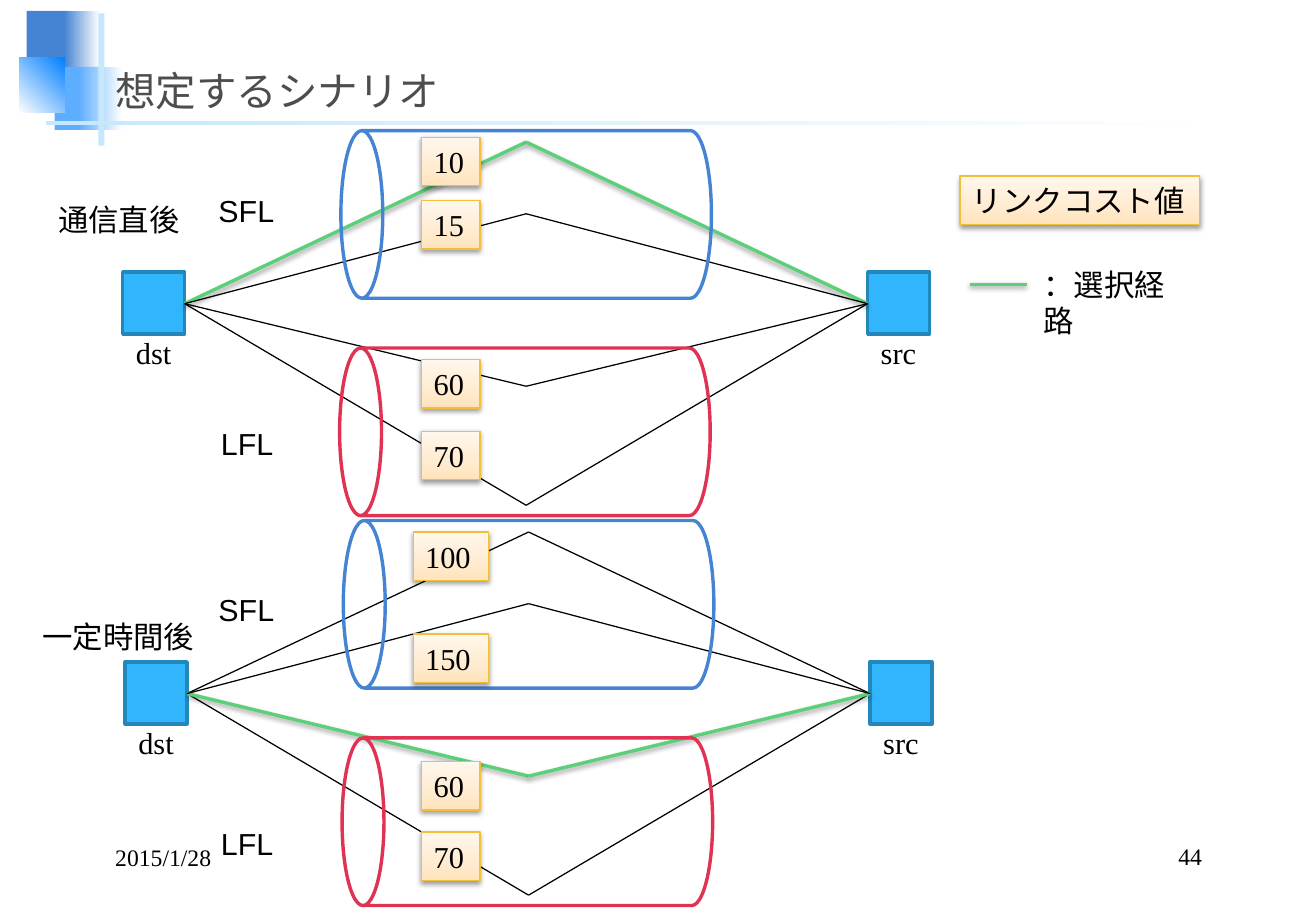
from pptx import Presentation
from pptx.dml.color import RGBColor
from pptx.enum.shapes import MSO_CONNECTOR as CONNECTOR, MSO_SHAPE as SHAPE
from pptx.enum.text import MSO_ANCHOR as ANCHOR, PP_ALIGN as ALIGN
from pptx.oxml import parse_xml
from pptx.oxml.ns import nsdecls
from pptx.util import Emu, Pt

PX = 9144
SERIF, SANS = "Times New Roman", "Arial"
COLORS = {
    "black": "000000", "white": "FFFFFF", "title": "4D4D4D",
    "blue": "4584D3", "sky": "5EAEFF", "azure": "0080FF", "pale": "C6E7FC",
    "node": "31B6FD", "node_edge": "2487BB", "red": "E03253",
    "selected": "5BD078", "cost_edge": "F4BE3A",
    "cost_low": "FFE3BB", "cost_mid": "FFEBCF", "cost_high": "FFF7ED",
}
COST_STOPS = [(0, "cost_low"), (35, "cost_mid"), (100, "cost_high")]
APEX_TOPS = [117, 416, 318, 176]


def px(*lengths):
    """Turn whole px lengths into EMU."""
    return [Emu(length * PX) for length in lengths]


def rgb(color):
    """Look up a named colour."""
    return RGBColor.from_string(COLORS[color])


def set_gradient(shape, stops, angle):
    """Fill a shape with a linear gradient."""
    marks = "".join(
        f'<a:gs pos="{pos * 1000}"><a:srgbClr val="{COLORS[color]}"/></a:gs>'
        for pos, color in stops)
    shape._element.spPr.append(parse_xml(
        f'<a:gradFill {nsdecls("a")} rotWithShape="1"><a:gsLst>{marks}</a:gsLst>'
        f'<a:lin ang="{angle * 60000}" scaled="0"/></a:gradFill>'))


def set_effect(element, shadow):
    """Give an element a soft drop shadow or none at all."""
    drop = (
        '<a:outerShdw blurRad="39370" dist="20320" dir="5400000" rotWithShape="0">'
        f'<a:srgbClr val="{COLORS["black"]}"><a:alpha val="38000"/></a:srgbClr>'
        '</a:outerShdw>') if shadow else ""
    element.spPr.append(parse_xml(
        f'<a:effectLst {nsdecls("a")}>{drop}</a:effectLst>'))


def write_text(owner, text, size=18, font=SERIF, color="black",
               align=ALIGN.LEFT, anchor=ANCHOR.TOP, wrap=False):
    """Write formatted text into a shape or text box."""
    frame = owner.text_frame
    frame.word_wrap = wrap
    frame.vertical_anchor = anchor
    paragraph = frame.paragraphs[0]
    paragraph.alignment = align
    run = paragraph.add_run()
    run.text = text
    run.font.size = Pt(size)
    run.font.name = font
    run.font.color.rgb = rgb(color)


def add_label(slide, box, text, **style):
    """Add a text box."""
    write_text(slide.shapes.add_textbox(*px(*box)), text, **style)


def add_block(slide, box, fill=None, stops=None, angle=0, edge=None,
              weight=2, kind=SHAPE.RECTANGLE, rotation=0, shadow=False):
    """Add a preset shape with a plain, gradient or empty fill."""
    block = slide.shapes.add_shape(kind, *px(*box))
    block.rotation = rotation
    if stops:
        set_gradient(block, stops, angle)
    elif fill:
        block.fill.solid()
        block.fill.fore_color.rgb = rgb(fill)
    else:
        block.fill.background()
    if edge:
        block.line.color.rgb = rgb(edge)
        block.line.width = Pt(weight)
    else:
        block.line.fill.background()
    set_effect(block._element, shadow)
    return block


def add_link(slide, start, end, selected=False):
    """Add a link line, highlighted when it is on the selected route."""
    link = slide.shapes.add_connector(CONNECTOR.STRAIGHT, *px(*start, *end))
    link.line.color.rgb = rgb("selected" if selected else "black")
    link.line.width = Pt(2 if selected else 0.75)
    set_effect(link._element, selected)


def add_cost(slide, box, text, wrap=False):
    """Add a link cost box."""
    cost = add_block(slide, box, stops=COST_STOPS, angle=270,
                     edge="cost_edge", weight=0.75, shadow=True)
    write_text(cost, text, wrap=wrap)


def add_decoration(slide):
    """Add the squares and rules behind the title."""
    add_block(slide, (22, 9, 35, 52), fill="blue")
    add_block(slide, (53, 9, 29, 52), stops=[(0, "blue"), (100, "white")])
    add_block(slide, (45, 55, 41, 52), fill="sky")
    add_block(slide, (65, 55, 36, 52), stops=[(0, "sky"), (100, "white")])
    add_block(slide, (16, 47, 37, 46),
              stops=[(0, "white"), (100, "azure")], angle=315)
    add_block(slide, (81, 11, 5, 109), fill="pale")
    add_block(slide, (38, 100, 975, 3), stops=[(0, "pale"), (100, "white")])


def add_scenario(slide, dx, dy, selected_route, costs):
    """Add two nodes, the four routes between them and the link costs."""
    for name, left in (("dst", 101), ("src", 714)):
        add_block(slide, (left + dx, 224 + dy, 51, 51),
                  fill="node", edge="node_edge")
        add_label(slide, (left + 1 + dx, 270 + dy, 50, 40), name)
    for route, top in enumerate(APEX_TOPS):
        apex = (433 + dx, top + dy)
        for end in ((152 + dx, 250 + dy), (714 + dx, 250 + dy)):
            start, stop = sorted((end, apex))
            add_link(slide, start, stop, route == selected_route)
    for left, top, edge in ((364, 24, "blue"), (363, 203, "red")):
        add_block(slide, (left + dx, top + dy, 138, 305), edge=edge,
                  kind=SHAPE.CAN, rotation=270)
    for cost, top in costs:
        width = 62 if cost >= 100 else 48
        add_cost(slide, (371 - width // 2, top, width, 40), str(cost))


def main():
    """Build the slide and save it."""
    deck = Presentation()
    deck.slide_width, deck.slide_height = px(1083, 750)
    slide = deck.slides.add_slide(deck.slide_layouts[6])
    add_decoration(slide)
    add_label(slide, (85, 36, 929, 63), "想定するシナリオ", size=24,
              color="title", anchor=ANCHOR.BOTTOM, wrap=True)
    add_label(slide, (773, 690, 226, 31), "44", size=14,
              align=ALIGN.RIGHT, anchor=ANCHOR.BOTTOM, wrap=True)
    add_scenario(slide, 0, 0, 0, [(10, 113), (15, 165), (60, 296), (70, 355)])
    add_scenario(slide, 2, 321, 2,
                 [(100, 438), (150, 522), (60, 627), (70, 685)])
    for dy in (0, 329):
        add_label(slide, (170, 153 + dy, 66, 40), "SFL", font=SANS)
        add_label(slide, (172, 345 + dy, 64, 40), "LFL", font=SANS)
    add_label(slide, (38, 161, 121, 40), "通信直後", font=SANS)
    add_label(slide, (25, 504, 146, 40), "一定時間後", font=SANS)
    add_cost(slide, (790, 145, 197, 40), "リンクコスト値", wrap=True)
    add_link(slide, (798, 234), (845, 234), selected=True)
    add_label(slide, (849, 214, 134, 40), "：選択経路", font=SANS, wrap=True)
    add_label(slide, (85, 690, 226, 32), "2015/1/28", size=14,
              anchor=ANCHOR.BOTTOM, wrap=True)
    deck.save("out.pptx")


if __name__ == "__main__":
    main()
